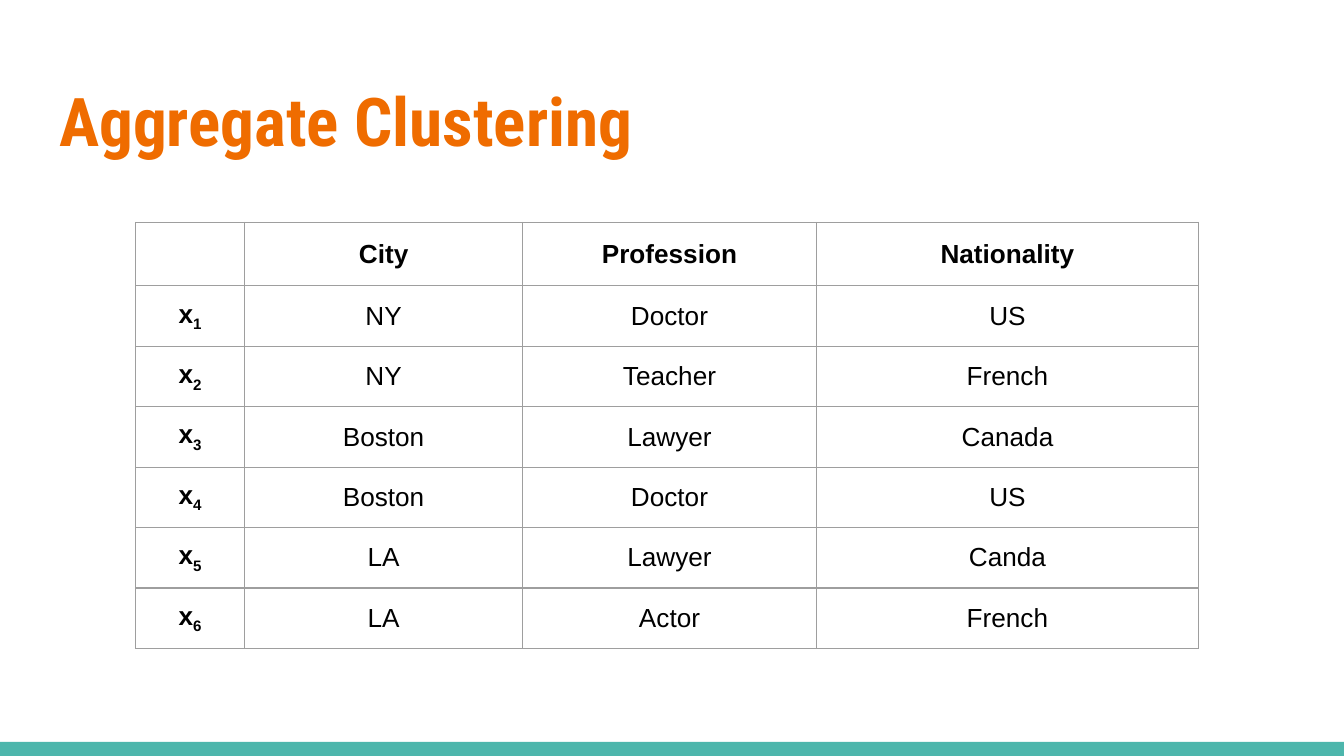
from lxml.etree import SubElement
from pptx import Presentation
from pptx.dml.color import RGBColor
from pptx.enum.shapes import MSO_SHAPE
from pptx.enum.text import MSO_ANCHOR, MSO_AUTO_SIZE, PP_ALIGN
from pptx.oxml.ns import qn
from pptx.util import Pt

RECT = MSO_SHAPE.RECTANGLE
TOP, MIDDLE = MSO_ANCHOR.TOP, MSO_ANCHOR.MIDDLE
FIXED = MSO_AUTO_SIZE.NONE
LEFT, CENTER = PP_ALIGN.LEFT, PP_ALIGN.CENTER
SCALE = 4572
PAD = 20
COLORS = {"title": "EF6C00", "bar": "4DB6AC", "text": "000000", "grid": "9E9E9E"}
WIDTHS = [162, 414, 437, 569]
ROW = 84
HEADS = ["", "City", "Profession", "Nationality"]
PEOPLE = [
    ["NY", "Doctor", "US"],
    ["NY", "Teacher", "French"],
    ["Boston", "Lawyer", "Canada"],
    ["Boston", "Doctor", "US"],
    ["LA", "Lawyer", "Canda"],
    ["LA", "Actor", "French"],
]


def px(*sizes):
    """Turn px lengths into EMU."""
    return [size * SCALE for size in sizes]


def rgb(name):
    """Look up a named colour."""
    return RGBColor.from_string(COLORS[name])


def write(para, text, size=14, font="Arial", color="text", bold=False,
          align=CENTER, base=0):
    """Add a formatted run to a paragraph."""
    para.alignment = align
    run = para.add_run()
    run.text = text
    run.font.size = Pt(size)
    run.font.name = font
    run.font.bold = bold
    run.font.color.rgb = rgb(color)
    if base:
        run.font._element.set("baseline", str(base * 1000))


def blank(para, size=17.5, font="Arial"):
    """Set the line height of an empty paragraph."""
    end = SubElement(para._p, qn("a:endParaRPr"), sz=str(int(size * 100)))
    SubElement(end, qn("a:latin"), typeface=font)


def pad(item):
    """Give a cell or text frame equal insets."""
    item.margin_left = item.margin_right = px(PAD)[0]
    item.margin_top = item.margin_bottom = px(PAD)[0]


def add_title(slide, text):
    """Place and fill the title."""
    title = slide.shapes.title
    title.left, title.top, title.width, title.height = px(68, 98, 1864, 154)
    frame = title.text_frame
    frame.auto_size = FIXED
    frame.word_wrap = True
    frame.vertical_anchor = TOP
    pad(frame)
    write(frame.paragraphs[0], text, size=36, font="Roboto Condensed",
          color="title", bold=True, align=LEFT)


def add_bar(slide):
    """Draw the bar along the bottom edge."""
    bar = slide.shapes.add_shape(RECT, *px(0, 1104, 2000, 21))
    bar.shadow.inherit = False
    bar.fill.solid()
    bar.fill.fore_color.rgb = rgb("bar")
    bar.line.fill.background()


def style(cell):
    """Clear the fill and draw thin lines on all four sides."""
    pad(cell)
    cell.vertical_anchor = MIDDLE
    cell.fill.background()
    props = cell._tc.get_or_add_tcPr()
    for spot, side in enumerate(["lnL", "lnR", "lnT", "lnB"]):
        line = SubElement(props, qn(f"a:{side}"), w=str(Pt(0.75)))
        fill = SubElement(line, qn("a:solidFill"))
        SubElement(fill, qn("a:srgbClr"), val=COLORS["grid"])
        props.insert(spot, line)


def add_grid(slide):
    """Build the table of people and their traits."""
    rows = [HEADS] + [["x"] + traits for traits in PEOPLE]
    box = px(202, 331, sum(WIDTHS), ROW * len(rows))
    table = slide.shapes.add_table(len(rows), len(WIDTHS), *box).table
    table.first_row = table.horz_banding = False
    for col, width in zip(table.columns, px(*WIDTHS)):
        col.width = width
    for r, row in enumerate(rows):
        for c, text in enumerate(row):
            cell = table.cell(r, c)
            style(cell)
            para = cell.text_frame.paragraphs[0]
            if text:
                write(para, text, bold=r == 0 or c == 0)
            else:
                blank(para)
            if r and c == 0:
                write(para, str(r), bold=True, base=-25)


def main():
    """Build and save the slide."""
    deck = Presentation()
    deck.slide_width, deck.slide_height = px(2000, 1125)
    slide = deck.slides.add_slide(deck.slide_layouts[5])
    add_bar(slide)
    add_title(slide, "Aggregate Clustering")
    add_grid(slide)
    deck.save("out.pptx")


if __name__ == "__main__":
    main()
